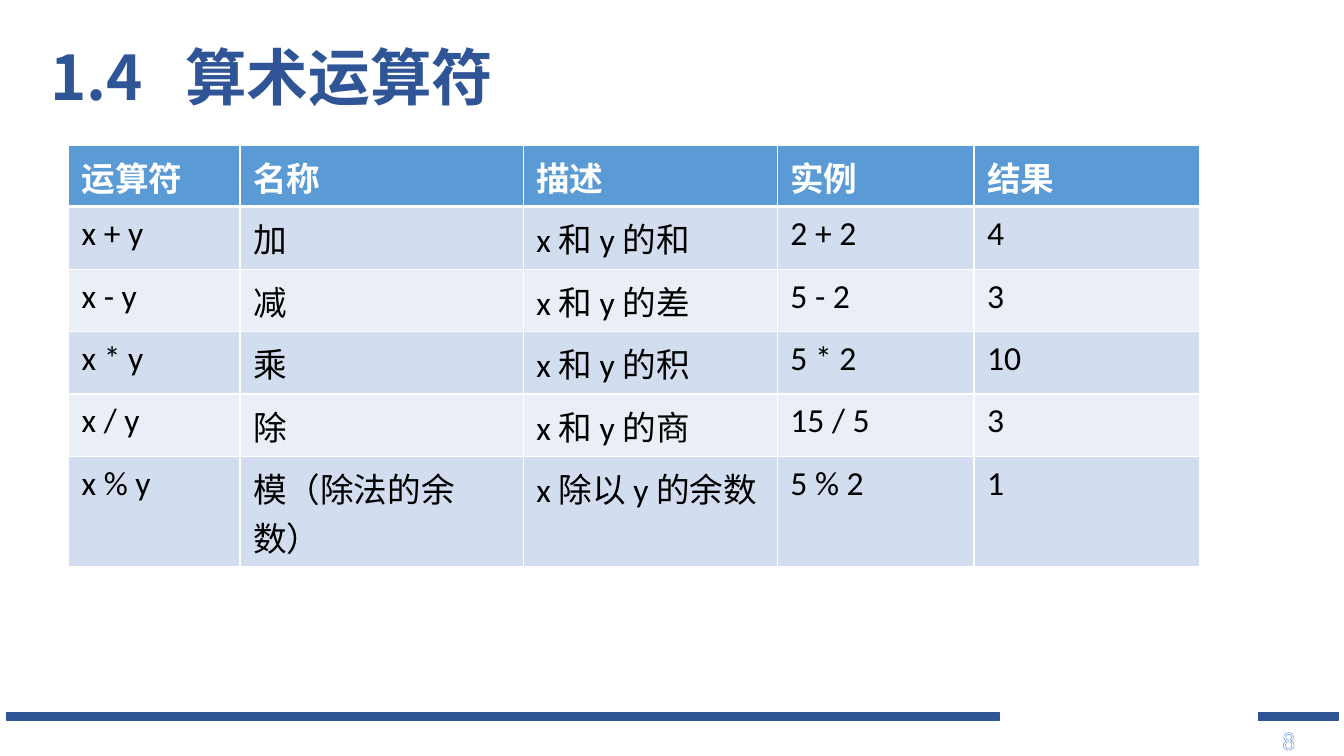
from lxml import etree
from pptx import Presentation
from pptx.dml.color import RGBColor
from pptx.enum.dml import MSO_PATTERN
from pptx.enum.shapes import MSO_SHAPE
from pptx.enum.text import MSO_ANCHOR
from pptx.oxml.ns import qn
from pptx.util import Emu, Pt

RECT = MSO_SHAPE.RECTANGLE
MIDDLE, TOP = MSO_ANCHOR.MIDDLE, MSO_ANCHOR.TOP
HATCH = MSO_PATTERN.LIGHT_DOWNWARD_DIAGONAL
EMU_PER_PX = 9144  # 100 px to the inch
LATIN, CJK = "Calibri", "Noto Sans CJK SC"
COLORS = {
    "navy": "2F5597", "header": "5B9BD5", "band": "D2DEEF", "pale": "EAEFF7",
    "white": "FFFFFF", "black": "000000", "hatch": "8FAADC", "outline": "4472C4",
}


def px(length):
    return Emu(length * EMU_PER_PX)


def rgb(name):
    return RGBColor.from_string(COLORS[name])


def solid_line(tag, color, points):
    line = etree.Element(qn(tag), w=str(Pt(points)))
    fill = etree.SubElement(line, qn("a:solidFill"))
    etree.SubElement(fill, qn("a:srgbClr"), val=COLORS[color])
    return line


class SlideBuilder:
    def __init__(self, deck):
        self.page = deck.slides.add_slide(deck.slide_layouts[6])

    def span(self, para, text, size, color, font=LATIN, bold=False):
        span = para.add_run()
        span.text = text
        span.font.size, span.font.bold = Pt(size), bold
        span.font.color.rgb = rgb(color)
        span.font.name = font
        etree.SubElement(span.font._element, qn("a:ea"), typeface=CJK)
        return span

    def bar(self, left, top, width, height):
        bar = self.page.shapes.add_shape(RECT, px(left), px(top), px(width), px(height))
        bar.shadow.inherit = False
        bar.fill.solid()
        bar.fill.fore_color.rgb = rgb("navy")
        bar.line.color.rgb = rgb("navy")
        bar.line.width = Pt(1)

    def text_box(self, left, top, width, height, anchor=TOP):
        box = self.page.shapes.add_textbox(px(left), px(top), px(width), px(height))
        box.text_frame.word_wrap = True
        box.text_frame.vertical_anchor = anchor
        return box.text_frame.paragraphs[0]

    def title(self, number, heading, tab_stop):
        para = self.text_box(40, 7, 1150, 145, MIDDLE)
        para.line_spacing = 0.9
        tabs = etree.SubElement(para._p.get_or_add_pPr(), qn("a:tabLst"))
        etree.SubElement(tabs, qn("a:tab"), pos=str(px(tab_stop)), algn="l")
        self.span(para, f"{number}\t{heading}", 44, "navy", CJK, bold=True)

    def page_number(self, number):
        para = self.text_box(1262, 714, 60, 40)
        font = self.span(para, number, 18, "hatch").font
        font.fill.patterned()
        font.fill.pattern = HATCH
        font.fill.fore_color.rgb = rgb("hatch")
        font.fill.back_color.rgb = rgb("white")
        font._element.insert(0, solid_line("a:ln", "outline", 1))

    def cell(self, cell, text, fill, color, bold, top, bottom):
        cell.margin_left = cell.margin_right = px(13)
        cell.margin_top = cell.margin_bottom = px(7)
        self.span(cell.text_frame.paragraphs[0], text, 24, color, bold=bold)
        borders = {"a:lnL": 1, "a:lnR": 1, "a:lnT": top, "a:lnB": bottom}
        for tag, points in borders.items():
            cell._tc.get_or_add_tcPr().append(solid_line(tag, "white", points))
        cell.fill.solid()
        cell.fill.fore_color.rgb = rgb(fill)

    def table(self, left, top, widths, heights, rows):
        table = self.page.shapes.add_table(
            len(rows), len(widths), px(left), px(top), px(sum(widths)), px(sum(heights))
        ).table
        table.horz_banding = False
        for column, width in zip(table.columns, widths):
            column.width = px(width)
        for r, (height, row) in enumerate(zip(heights, rows)):
            table.rows[r].height = px(height)
            # The heavy rule under the header is shared with the first body row
            if r == 0:
                style = ("header", "white", True, 1, 3)
            else:
                style = ("band" if r % 2 else "pale", "black", False, 3 if r == 1 else 1, 1)
            for c, text in enumerate(row):
                self.cell(table.cell(r, c), text, *style)


OPERATORS = [
    ("运算符", "名称", "描述", "实例", "结果"),
    ("x + y", "加", "x 和 y 的和", "2 + 2", "4"),
    ("x - y", "减", "x 和 y 的差", "5 - 2", "3"),
    ("x * y", "乘", "x 和 y 的积", "5 * 2", "10"),
    ("x / y", "除", "x 和 y 的商", "15 / 5", "3"),
    ("x % y", "模（除法的余数）", "x 除以 y 的余数", "5 % 2", "1"),
]


def main():
    deck = Presentation()
    deck.slide_width, deck.slide_height = px(1333), px(750)
    slide = SlideBuilder(deck)

    # Footer bars and page number
    for left, width in ((7, 984), (1248, 79)):
        slide.bar(left, 707, width, 8)
    slide.page_number("8")

    # Title and operator table
    slide.title("1.4", "算术运算符", tab_stop=134)
    slide.table(68, 144, [170, 281, 252, 195, 224], [61] + [62] * 4 + [109], OPERATORS)

    deck.save("out.pptx")


if __name__ == "__main__":
    main()
